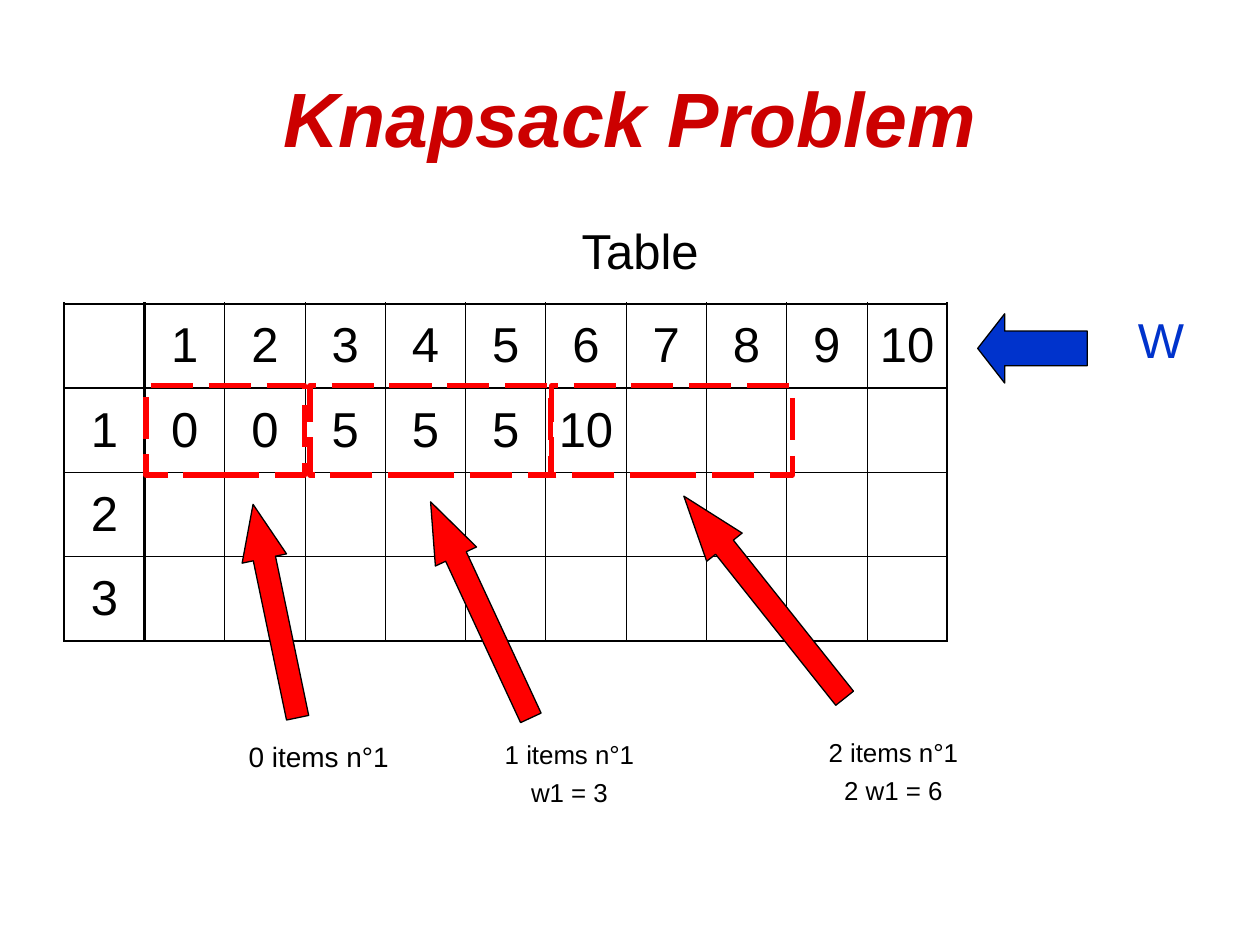
from pptx import Presentation
from pptx.dml.color import RGBColor
from pptx.enum.dml import MSO_LINE
from pptx.enum.shapes import MSO_SHAPE
from pptx.enum.text import MSO_ANCHOR, PP_ALIGN
from pptx.oxml.ns import qn
from pptx.util import Inches, Pt
from lxml.etree import SubElement

BLACK, RED, BLUE, TITLE_RED = "000000", "FF0000", "0033CC", "CC0000"
THICK, THIN = 1.47, 0.45
ROWS = [
    ["", *map(str, range(1, 11))],
    ["1", "0", "0", "5", "5", "5", "10"],
    ["2"],
    ["3"],
]
COLUMN_COUNT = len(ROWS[0])


def color(value):
    return RGBColor.from_string(value)


def write_paragraph(paragraph, text, size, text_color=BLACK, before=7, emphasis=False):
    paragraph.alignment = PP_ALIGN.CENTER
    paragraph.space_before = Pt(before)
    run = paragraph.add_run()
    run.text = text
    font = run.font
    font.name = "Arial"
    font.size = Pt(size)
    font.bold = font.italic = emphasis
    font.color.rgb = color(text_color)


def add_text(slide, box, lines, size, anchor=MSO_ANCHOR.TOP, **style):
    frame = slide.shapes.add_textbox(*map(Inches, box)).text_frame
    frame.word_wrap = True
    frame.vertical_anchor = anchor
    for index, line in enumerate(lines):
        paragraph = frame.add_paragraph() if index else frame.paragraphs[0]
        write_paragraph(paragraph, line, size, **style)


def set_borders(cell, widths):
    properties = cell._tc.get_or_add_tcPr()
    for side, width in zip("LRTB", widths):
        line = SubElement(properties, qn(f"a:ln{side}"), w=str(int(Pt(width))))
        fill = SubElement(line, qn("a:solidFill"))
        SubElement(fill, qn("a:srgbClr"), val=BLACK)


def edge_width(position, count):
    return THICK if position in (0, 1, count) else THIN


def add_value_table(slide, box):
    table = slide.shapes.add_table(len(ROWS), COLUMN_COUNT, *map(Inches, box)).table
    table.first_row = table.horz_banding = False
    for row, values in enumerate(ROWS):
        for column in range(COLUMN_COUNT):
            cell = table.cell(row, column)
            set_borders(cell, [
                edge_width(column, COLUMN_COUNT),
                edge_width(column + 1, COLUMN_COUNT),
                edge_width(row, len(ROWS)),
                edge_width(row + 1, len(ROWS)),
            ])
            cell.fill.background()
            cell.vertical_anchor = MSO_ANCHOR.MIDDLE
            if column < len(values) and values[column]:
                write_paragraph(cell.text_frame.paragraphs[0], values[column], 28)


def add_outlined_shape(slide, kind, box, line_color, line_width):
    shape = slide.shapes.add_shape(kind, *map(Inches, box))
    shape.shadow.inherit = False
    shape.line.color.rgb = color(line_color)
    shape.line.width = Pt(line_width)
    return shape


def add_arrow(slide, box, fill_color, head, rotation=0):
    arrow = add_outlined_shape(slide, MSO_SHAPE.LEFT_ARROW, box, BLACK, 0.75)
    arrow.fill.solid()
    arrow.fill.fore_color.rgb = color(fill_color)
    arrow.adjustments[0] = 0.5
    arrow.adjustments[1] = head
    arrow.rotation = rotation


def add_dashed_group(slide, left, width):
    frame = add_outlined_shape(slide, MSO_SHAPE.RECTANGLE, (left, 3.06, width, 0.71), RED, 3)
    frame.fill.background()
    frame.line.dash_style = MSO_LINE.LONG_DASH


def main():
    presentation = Presentation()
    presentation.slide_width = Inches(10)
    presentation.slide_height = Inches(7.5)
    slide = presentation.slides.add_slide(presentation.slide_layouts[6])

    add_text(slide, (0.5, 0.3, 9, 1.25), ["Knapsack Problem"], 44, MSO_ANCHOR.MIDDLE,
             text_color=TITLE_RED, before=0, emphasis=True)
    add_text(slide, (2.87, 1.7, 4.42, 0.66), ["Table"], 28)
    add_value_table(slide, (0.51, 2.41, 7.01, 2.68))
    add_arrow(slide, (7.76, 2.49, 0.87, 0.55), BLUE, 0.39)
    add_text(slide, (8.78, 2.41, 0.87, 0.66), ["W"], 28, text_color=BLUE)

    for left, width in [(1.16, 1.26), (2.46, 1.91), (4.38, 1.91)]:
        add_dashed_group(slide, left, width)

    for left, top, lines, size in [
        (5.87, 5.8, ["2 items n°1", "2 w1 = 6"], 14.8),
        (3.3, 5.81, ["1 items n°1", "w1 = 3"], 14.8),
        (1.31, 5.82, ["0 items n°1"], 16),
    ]:
        add_text(slide, (left, top, 2.44, 0.66), lines, size, before=4)

    for left, top, length, head, rotation in [
        (5.04, 4.56, 2.05, 1.44, 51.5),
        (2.87, 4.66, 1.89, 1.33, 65.1),
        (1.32, 4.67, 1.73, 1.22, 78.2),
    ]:
        add_arrow(slide, (left, top, length, 0.36), RED, head, rotation)

    presentation.save("out.pptx")


if __name__ == "__main__":
    main()
